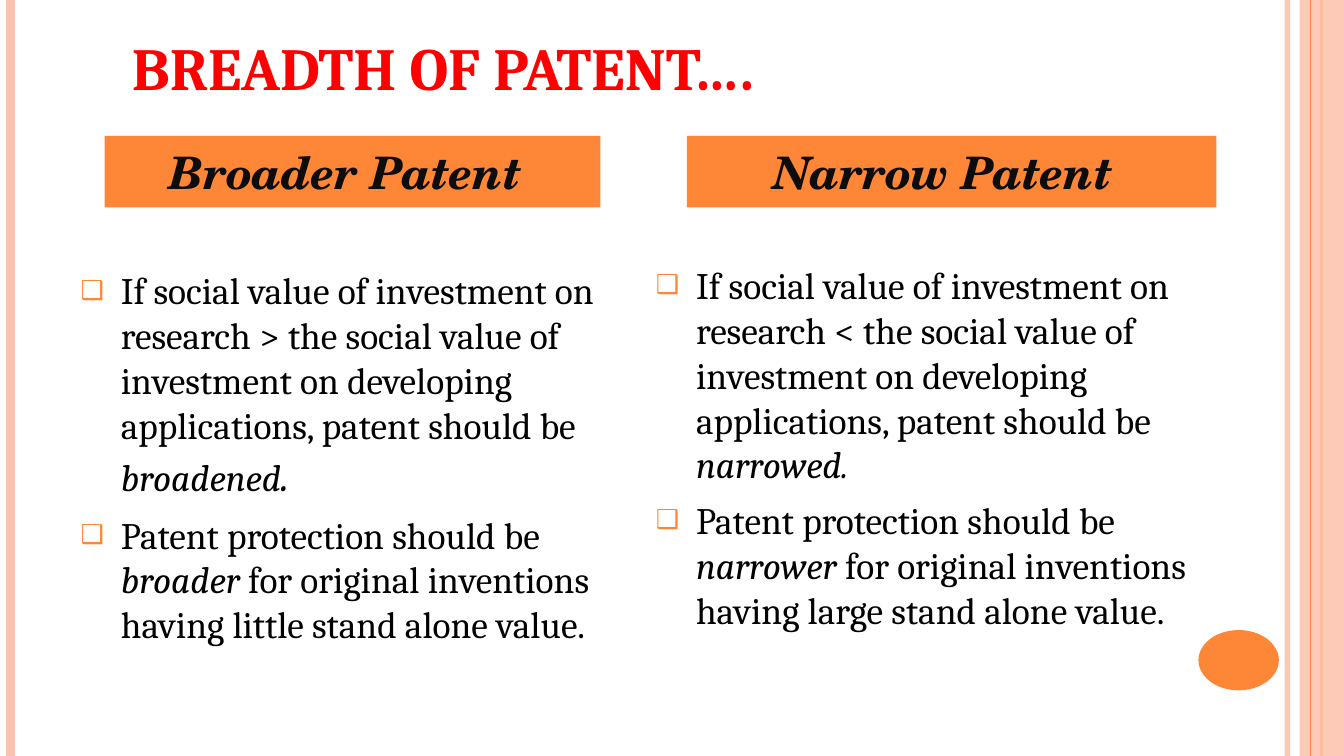
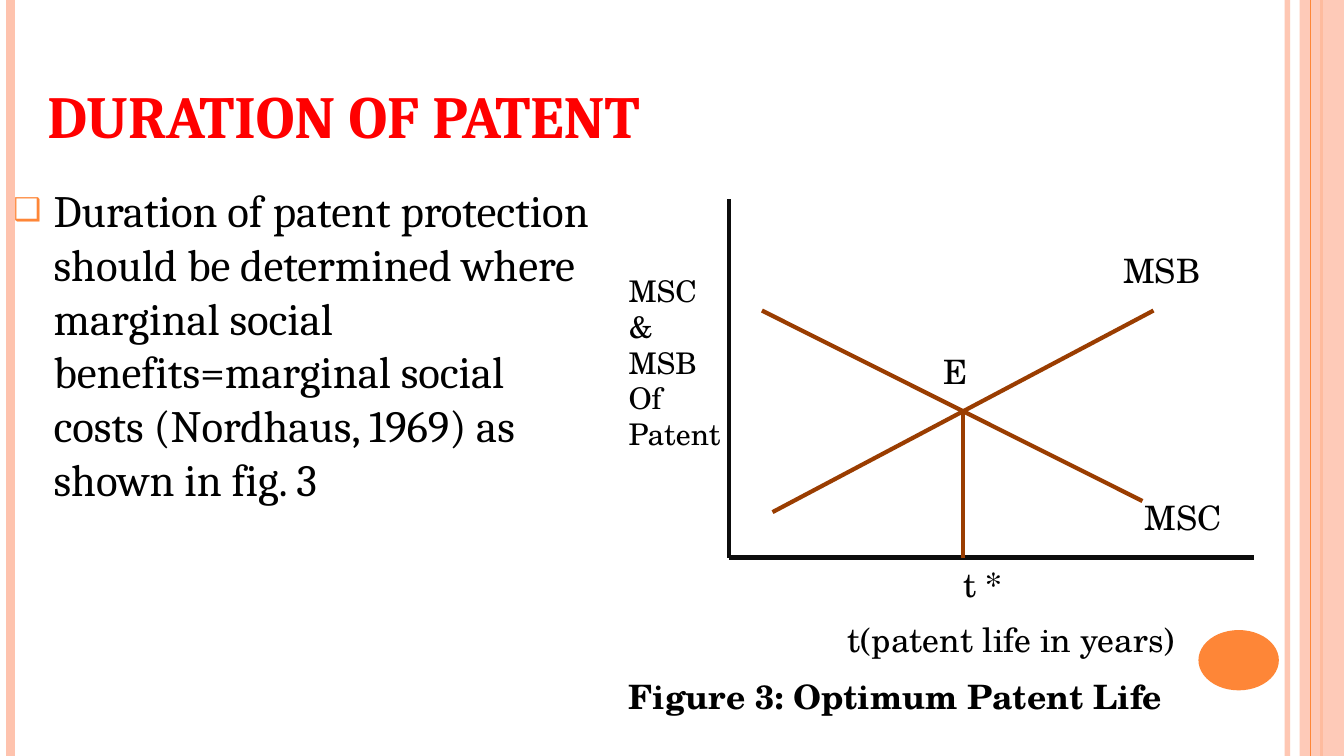
import dataclasses

import lxml.etree
import pptx
import pptx.dml.color
import pptx.enum.shapes
import pptx.enum.text
import pptx.oxml.ns
import pptx.util

Cm = pptx.util.Cm
Pt = pptx.util.Pt
qn = pptx.oxml.ns.qn
SHAPES = pptx.enum.shapes.MSO_SHAPE
ANCHOR = pptx.enum.text.MSO_ANCHOR


@dataclasses.dataclass(frozen=True)
class Theme:
    orange: str = "FE8637"
    peach: str = "FEC3AE"
    red: str = "FF0000"
    ink: str = "0D0D0D"
    black: str = "000000"
    brown: str = "9A3D01"
    text_font: str = "Cambria"
    label_font: str = "TeX Gyre Schola"
    title_size: int = 32
    large_size: int = 24
    list_size: int = 20
    label_size: int = 18
    axis_size: int = 16


THEME = Theme()
WIDTH, HEIGHT = 25.4, 14.29


def rgb(color):
    return pptx.dml.color.RGBColor.from_string(color)


def set_opacity(element, percent):
    color = next(element.iter(qn("a:srgbClr")))
    lxml.etree.SubElement(color, qn("a:alpha"), val=str(percent * 1000))


def set_font(paragraph, name, size, color, bold=False, italic=False):
    font = paragraph.font
    font.name, font.size = name, Pt(size)
    font.bold, font.italic = bold, italic
    font.color.rgb = rgb(color)


def set_indent(paragraph, left, first=0):
    properties = paragraph._p.get_or_add_pPr()
    properties.set("marL", str(Cm(left)))
    properties.set("indent", str(Cm(first)))


def add_bullet(paragraph):
    """Give a hanging orange box bullet; call before the font is set."""
    set_indent(paragraph, 0.76, -0.76)
    properties = paragraph._p.get_or_add_pPr()
    color = lxml.etree.SubElement(properties, qn("a:buClr"))
    lxml.etree.SubElement(color, qn("a:srgbClr"), val=THEME.orange)
    lxml.etree.SubElement(properties, qn("a:buSzPct"), val="70000")
    lxml.etree.SubElement(properties, qn("a:buChar"), char="❑")


def place(shape, left, top, width, height):
    shape.left, shape.top = Cm(left), Cm(top)
    shape.width, shape.height = Cm(width), Cm(height)


def add_line(slide, start, end, color, weight):
    line = slide.shapes.add_connector(
        pptx.enum.shapes.MSO_CONNECTOR.STRAIGHT, *map(Cm, start + end))
    line.line.color.rgb = rgb(color)
    line.line.width = Pt(weight)
    lxml.etree.SubElement(line.element.spPr, qn("a:effectLst"))
    return line


def add_filled(slide, preset, box, color):
    shape = slide.shapes.add_shape(preset, *map(Cm, box))
    shape.shadow.inherit = False
    shape.fill.solid()
    shape.fill.fore_color.rgb = rgb(color)
    shape.line.fill.background()
    return shape


def decorate_master(prs, slide):
    """Draw the shared bands on a slide, then move them to the master."""
    def rule(x, color, weight):
        return add_line(slide, (x, 0), (x, HEIGHT), color, weight)

    inner_rule = rule(24.33, THEME.peach, 3)
    set_opacity(inner_rule.element, 93)
    left_rule = rule(0.2, THEME.peach, 4.5)
    band_rule = rule(24.97, THEME.orange, 1.5)
    band = add_filled(slide, SHAPES.RECTANGLE, (24.56, 0, 0.84, HEIGHT), THEME.peach)
    set_opacity(band.element, 87)
    thin_rule = rule(24.77, THEME.orange, 0.75)
    number_disc = add_filled(slide, SHAPES.OVAL, (22.65, 11.91, 1.52, 1.14), THEME.orange)

    tree = prs.slide_master.shapes.element
    parts = (inner_rule, left_rule, band_rule, band, thin_rule, number_disc)
    for order, part in enumerate(parts):
        next(part.element.iter(qn("p:cNvPr"))).set("id", str(100 + order))
        tree.insert(2 + order, part.element)


def set_title(slide, text, box, indent=0):
    title = slide.shapes.title
    place(title, *box)
    frame = title.text_frame
    frame.text = text
    frame.word_wrap = True
    frame.auto_size = pptx.enum.text.MSO_AUTO_SIZE.NONE
    frame.vertical_anchor = ANCHOR.BOTTOM
    heading = frame.paragraphs[0]
    heading.alignment = pptx.enum.text.PP_ALIGN.LEFT
    set_indent(heading, indent)
    set_font(heading, THEME.text_font, THEME.title_size, THEME.red, bold=True)


def fill_list(placeholder, items, box, size):
    """Write bulleted items; text between asterisks is italic."""
    place(placeholder, *box)
    frame = placeholder.text_frame
    frame.word_wrap = True
    frame.auto_size = pptx.enum.text.MSO_AUTO_SIZE.NONE
    for index, item in enumerate(items):
        paragraph = frame.add_paragraph() if index else frame.paragraphs[0]
        add_bullet(paragraph)
        paragraph.space_before = Pt(6)
        set_font(paragraph, THEME.text_font, size, THEME.black)
        for part, text in enumerate(item.split("*")):
            if text:
                run = paragraph.add_run()
                run.text = text
                if part % 2:
                    run.font.italic = True
    return frame


def add_banner(slide, text, left, width, indent):
    banner = add_filled(slide, SHAPES.RECTANGLE, (left, 2.57, width, 1.35), THEME.orange)
    frame = banner.text_frame
    frame.text = text
    frame.vertical_anchor = ANCHOR.MIDDLE
    heading = frame.paragraphs[0]
    heading.alignment = pptx.enum.text.PP_ALIGN.LEFT
    set_indent(heading, indent)
    set_font(heading, THEME.label_font, THEME.large_size, THEME.ink, bold=True, italic=True)


def add_label(slide, text, left, top, width, height=1.02, size=THEME.label_size, bold=False):
    label = slide.shapes.add_textbox(*map(Cm, (left, top, width, height)))
    frame = label.text_frame
    frame.word_wrap = True
    frame.text = text
    for paragraph in frame.paragraphs:
        set_font(paragraph, THEME.label_font, size, THEME.black, bold)


def build_breadth(slide):
    set_title(slide, "BREADTH OF PATENT….", (1.27, 0.56, 20.96, 1.5), indent=0.97)
    broader, narrow = list(slide.placeholders)[1:]
    broader_text = fill_list(broader, [
        "If social value of investment on research > the social value of investment "
        "on developing applications, patent should be *broadened**.*",
        "Patent protection should be *broader* for original inventions having "
        "little stand alone value.",
    ], (1.27, 4.93, 11.23, 8.1), THEME.list_size)
    broader_text.paragraphs[0].runs[-1].font.size = Pt(THEME.large_size)
    fill_list(narrow, [
        "If social value of investment on research < the social value of investment "
        "on developing applications, patent should be *narrowed.*",
        "Patent protection should be *narrower* for original inventions having "
        "large stand alone value.",
    ], (12.14, 4.83, 11.15, 8.2), THEME.list_size)
    add_banner(slide, "Broader Patent", 1.98, 9.37, 0.97)
    add_banner(slide, "Narrow Patent", 12.98, 10.01, 1.38)


def draw_optimum_life(slide):
    origin = (13.77, 10.54)
    for axis_end in ((13.77, 3.76), (23.7, 10.54)):
        add_line(slide, origin, axis_end, THEME.ink, 2.25)
    cost = ((14.4, 5.87), (21.59, 9.47))
    benefit = ((14.6, 9.68), (21.8, 5.87))
    optimum = ((18.2, 7.77), (18.2, 10.54))
    for start, end in (cost, benefit, optimum):
        add_line(slide, start, end, THEME.brown, 2.25)

    add_label(slide, "MSB", 20.98, 4.6, 2.2)
    add_label(slide, "MSC", 21.39, 9.27, 2.2)
    add_label(slide, "t *", 17.96, 10.54, 1.6)
    add_label(slide, "t(patent life in years)", 15.77, 11.58, 7.1)
    add_label(slide, "E", 17.58, 6.5, 1.2)
    add_label(slide, "MSC\v&\vMSB\nOf\nPatent", 11.63, 5.03, 2.4, 3.8, THEME.axis_size)
    add_label(slide, "Figure 3: Optimum Patent Life", 11.63, 12.65, 13.34, bold=True)


def build_duration(slide):
    set_title(slide, "DURATION OF PATENT", (0.64, 0.58, 21.39, 2.39))
    fill_list(slide.placeholders[1], [
        "Duration of patent protection should be determined where marginal social "
        "benefits=marginal social costs (Nordhaus, 1969) as shown in fig. 3",
    ], (0, 3.33, 11.43, 9.53), THEME.large_size)
    draw_optimum_life(slide)


def main():
    prs = pptx.Presentation()
    prs.slide_width, prs.slide_height = Cm(WIDTH), Cm(HEIGHT)
    one_list, two_lists = prs.slide_layouts[1], prs.slide_layouts[3]
    breadth = prs.slides.add_slide(two_lists)
    decorate_master(prs, breadth)
    build_breadth(breadth)
    build_duration(prs.slides.add_slide(one_list))
    prs.save("out.pptx")


if __name__ == "__main__":
    main()
